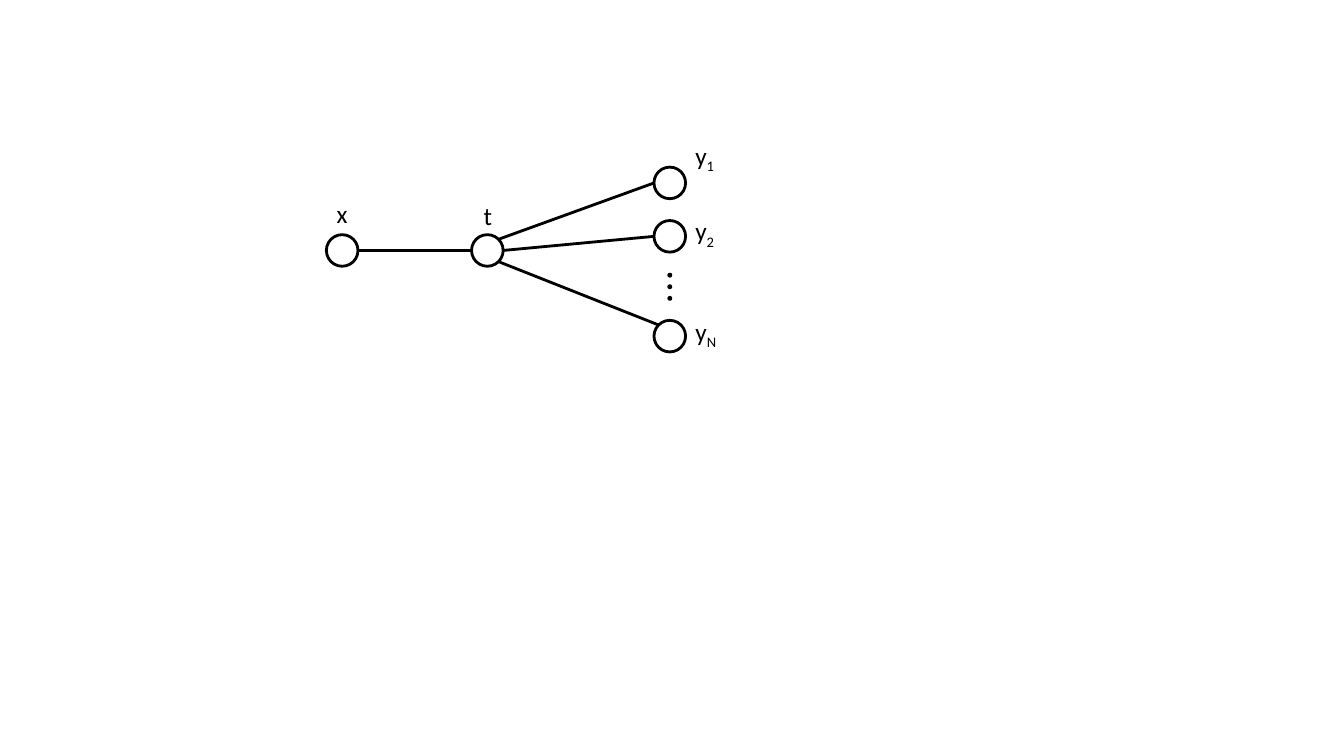
import dataclasses
import math

import pptx
import pptx.dml.color
import pptx.enum.shapes
import pptx.enum.text
import pptx.oxml.ns
import pptx.util
from lxml import etree


@dataclasses.dataclass(frozen=True)
class Theme:
    ink: str = "000000"
    font: str = "Calibri"
    label_size: int = 18
    stroke: int = 2


def write_text(paragraph, text, *, size, color, font, baseline=0):
    run = paragraph.add_run()
    run.text = text
    run.font.size = pptx.util.Pt(size)
    run.font.name = font
    run.font.color.rgb = pptx.dml.color.RGBColor.from_string(color)
    if baseline:
        run._r.get_or_add_rPr().set("baseline", str(baseline * 1000))


class GraphSlide:
    COLUMNS, ROWS = 80, 45
    NODE, DOT = 1.88, 0.12

    def __init__(self, deck, theme):
        self.theme = theme
        self.column = deck.slide_width / self.COLUMNS
        self.row = deck.slide_height / self.ROWS
        slide = deck.slides.add_slide(deck.slide_layouts[6])
        self.graph = slide.shapes.add_group_shape().shapes

    def place(self, x, y):
        return round(x * self.column), round(y * self.row)

    def outline(self, line):
        line.color.rgb = pptx.dml.color.RGBColor.from_string(self.theme.ink)
        line.width = pptx.util.Pt(self.theme.stroke)

    def circle(self, center, diameter, filled=False):
        x, y = center
        circle = self.graph.add_shape(
            pptx.enum.shapes.MSO_SHAPE.OVAL,
            *self.place(x - diameter / 2, y - diameter / 2),
            *self.place(diameter, diameter))
        circle.shadow.inherit = False
        if filled:
            circle.fill.solid()
            circle.fill.fore_color.rgb = pptx.dml.color.RGBColor.from_string(self.theme.ink)
        else:
            circle.fill.background()
        self.outline(circle.line)

    def rim(self, center, degrees):
        angle = math.radians(degrees)
        radius = self.NODE / 2
        return self.place(center[0] + radius * math.cos(angle),
                          center[1] + radius * math.sin(angle))

    def edge(self, source, leaving, target, arriving):
        edge = self.graph.add_connector(
            pptx.enum.shapes.MSO_CONNECTOR.STRAIGHT,
            *self.rim(source, leaving), *self.rim(target, arriving))
        self.outline(edge.line)
        etree.SubElement(edge._element.spPr, pptx.oxml.ns.qn("a:effectLst"))

    def label(self, text, subscript, left, top, width):
        box = self.graph.add_textbox(*self.place(left, top), *self.place(width, 2.4))
        frame = box.text_frame
        frame.word_wrap = False
        frame.auto_size = pptx.enum.text.MSO_AUTO_SIZE.SHAPE_TO_FIT_TEXT
        style = dict(size=self.theme.label_size, color=self.theme.ink, font=self.theme.font)
        write_text(frame.paragraphs[0], text, **style)
        if subscript:
            write_text(frame.paragraphs[0], subscript, baseline=-25, **style)


def main():
    deck = pptx.Presentation()
    deck.slide_width = pptx.util.Inches(13.33)
    deck.slide_height = pptx.util.Inches(7.5)
    slide = GraphSlide(deck, Theme())

    x, t = (20.37, 14.91), (29.01, 14.91)
    output_column = 39.87
    y_first, y_second, y_last = [(output_column, row) for row in (10.89, 14.07, 20.01)]

    for node in (x, t, y_first, y_second, y_last):
        slide.circle(node, slide.NODE)
    for step in range(3):
        slide.circle((output_column, 16.38 + 0.69 * step), slide.DOT, filled=True)

    for source, leaving, target, arriving in (
        (x, 0, t, 180),
        (t, -45, y_first, 180),
        (t, 0, y_second, 180),
        (t, 45, y_last, 225),
    ):
        slide.edge(source, leaving, target, arriving)

    for text, subscript, left, top, width in (
        ("x", "", 19.44, 11.52, 1.86),
        ("t", "", 28.2, 11.64, 1.74),
        ("y", "1", 40.8, 8.04, 2.4),
        ("y", "2", 40.8, 12.54, 2.4),
        ("y", "N", 40.8, 18.54, 2.52),
    ):
        slide.label(text, subscript, left, top, width)

    deck.save("out.pptx")


if __name__ == "__main__":
    main()
